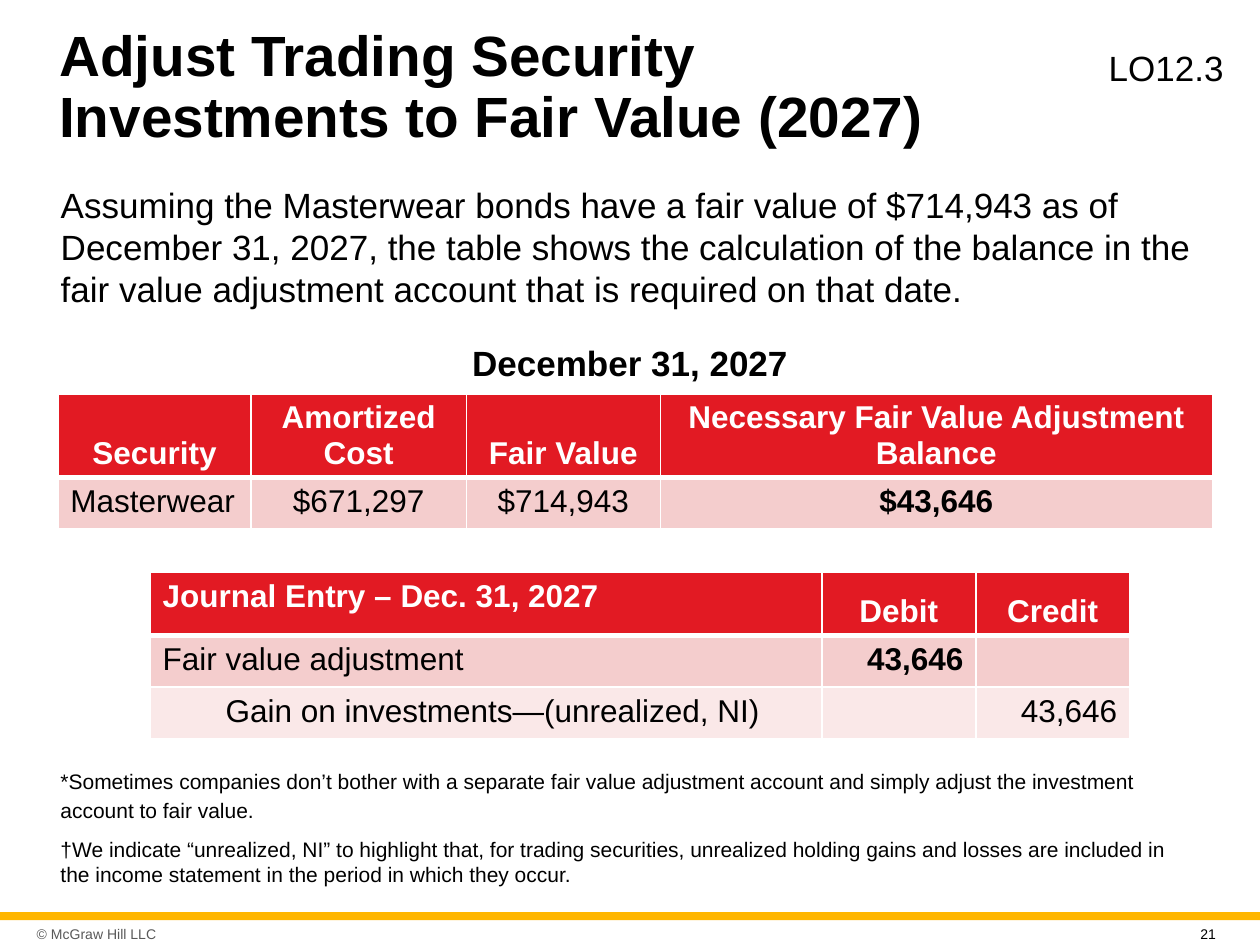
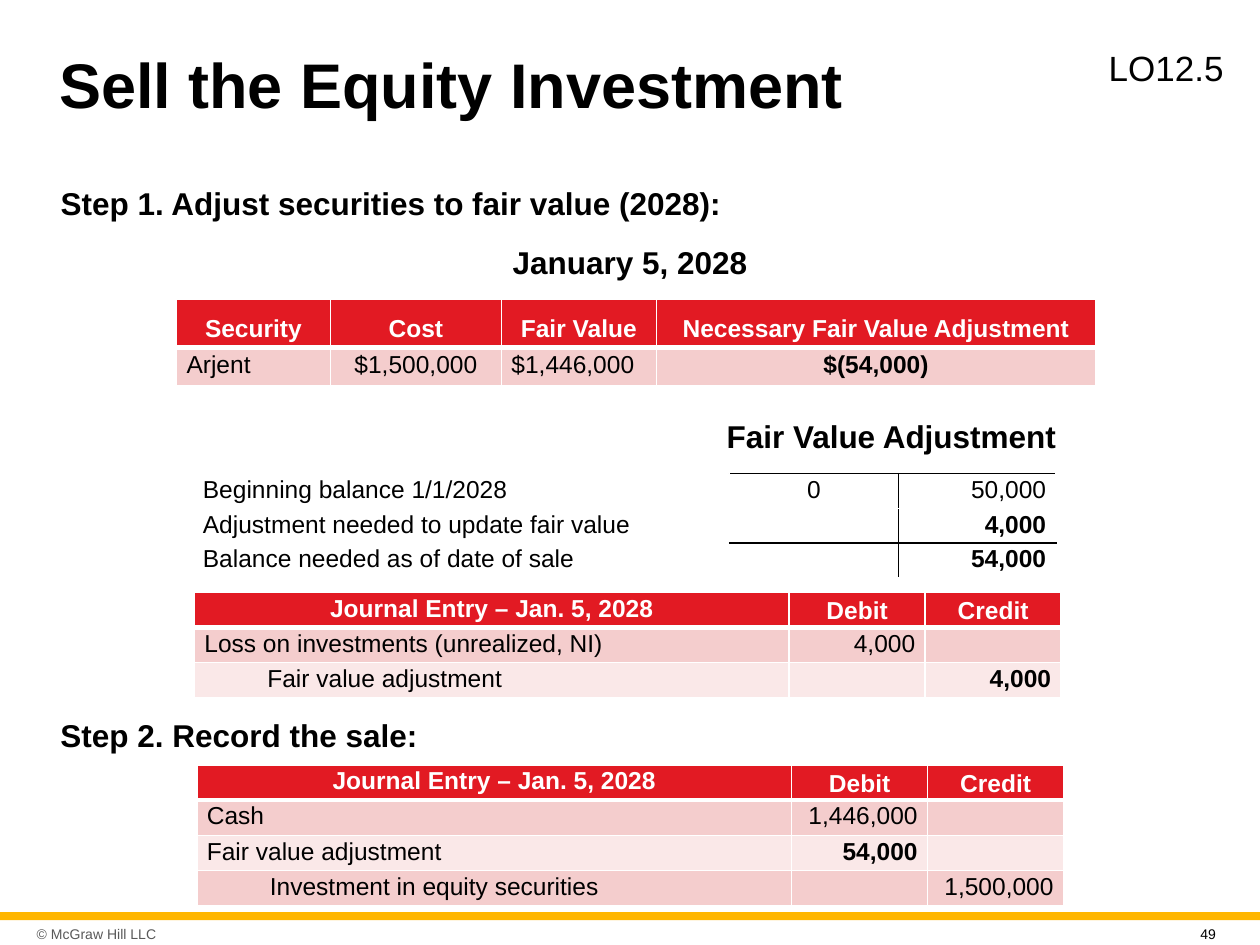
from dataclasses import dataclass

import lxml.etree
import pptx
import pptx.dml.color
import pptx.enum.shapes
import pptx.enum.text
import pptx.oxml.ns
import pptx.util

Cm = pptx.util.Cm
Pt = pptx.util.Pt
ALIGN = pptx.enum.text.PP_ALIGN
ANCHOR = pptx.enum.text.MSO_ANCHOR
qn = pptx.oxml.ns.qn


@dataclass(frozen=True)
class Theme:
    font: str = "Arial"
    black: str = "000000"
    white: str = "FFFFFF"
    grey: str = "595959"
    gold: str = "FFB600"
    header: str = "E21A23"
    bands: tuple = ("FAE8E8", "F4CDCD")
    title_size: float = 36
    long_title_size: float = 32.4
    text_size: float = 20
    step_size: float = 18
    note_size: float = 12
    footer_size: float = 8
    thin_line: float = 1
    thick_line: float = 3


THEME = Theme()


@dataclass(frozen=True)
class Box:
    left: float
    top: float
    width: float
    height: float

    def place(self, shape):
        shape.left, shape.top = Cm(self.left), Cm(self.top)
        shape.width, shape.height = Cm(self.width), Cm(self.height)


@dataclass(frozen=True)
class Entry:
    text: str = ""
    align: int = ALIGN.LEFT
    bold: bool = False
    indent: float = 0
    anchor: int = ANCHOR.TOP


@dataclass(frozen=True)
class TableSize:
    font: float
    side_margin: float
    end_margin: float


LARGE = TableSize(18, 0.25, 0.13)
SMALL = TableSize(14, 0.2, 0.05)
MEDIUM = TableSize(14, 0.2, 0.09)


def centred(text, bold=False):
    return Entry(text, ALIGN.CENTER, bold)


def amount(text, bold=False):
    return Entry(text, ALIGN.RIGHT, bold)


def credited(text):
    return Entry(text, indent=1.27)


def heading(text, align=ALIGN.CENTER, anchor=ANCHOR.BOTTOM):
    return Entry(text, align, True, anchor=anchor)


def style_font(paragraph, size, bold=False, color=THEME.black):
    font = paragraph.font
    font.name = THEME.font
    font.size = Pt(size)
    font.bold = bold
    font.color.rgb = pptx.dml.color.RGBColor.from_string(color)


def write(shape, box, texts, size, bold=False, color=THEME.black,
          align=ALIGN.LEFT, anchor=ANCHOR.TOP):
    box.place(shape)
    frame = shape.text_frame
    frame.word_wrap = True
    frame.auto_size = pptx.enum.text.MSO_AUTO_SIZE.NONE
    frame.vertical_anchor = anchor
    frame.text = "\n".join(texts)
    for paragraph in frame.paragraphs:
        properties = paragraph._p.get_or_add_pPr()
        properties.set("marL", "0")
        properties.set("indent", "0")
        lxml.etree.SubElement(properties, qn("a:buNone"))
        paragraph.alignment = align
        paragraph.space_before = Pt(0)
        style_font(paragraph, size, bold, color)
    return frame


def add_label(slide, box, text, size, **options):
    shape = slide.shapes.add_textbox(0, 0, 0, 0)
    return write(shape, box, [text], size, **options)


def add_footer(slide, box, page):
    band = slide.shapes.add_shape(
        pptx.enum.shapes.MSO_SHAPE.RECTANGLE, 0, 0, 0, 0)
    Box(box.left, box.top, box.width, 0.16).place(band)
    band.shadow.inherit = False
    band.fill.solid()
    band.fill.fore_color.rgb = pptx.dml.color.RGBColor.from_string(THEME.gold)
    band.line.fill.background()
    copyright_box = Box(box.left + 0.61, box.top + 0.13, 3.43, 0.61)
    frame = add_label(slide, copyright_box, "© McGraw Hill LLC",
                      THEME.footer_size, color=THEME.grey, anchor=ANCHOR.MIDDLE)
    frame.margin_left = frame.margin_right = Cm(0.13)
    page_box = Box(box.left + 23.95, box.top + 0.15, 1, 0.46)
    add_label(slide, page_box, page, THEME.footer_size)


def add_header(slide, box, title, title_size, objective):
    title_box = Box(box.left, box.top, 20.07, box.height)
    frame = write(slide.shapes.title, title_box, [title], title_size,
                  bold=True, anchor=ANCHOR.MIDDLE)
    frame.paragraphs[0].line_spacing = 0.9
    objective_box = Box(box.left + 21.16, box.top + 0.28, 2.9, 1.04)
    add_label(slide, objective_box, objective, THEME.text_size)


def start_slide(presentation, title, title_size, objective, page):
    slide = presentation.slides.add_slide(presentation.slide_layouts[1])
    add_footer(slide, Box(0, 18.39, 25.4, 0.66), page)
    add_header(slide, Box(0.94, 0.53, 24.06, 2.51), title, title_size, objective)
    return slide


def add_border(cell, side, color, width):
    line = lxml.etree.SubElement(cell._tc.get_or_add_tcPr(), qn(f"a:ln{side}"))
    line.set("w", str(Pt(width)))
    fill = lxml.etree.SubElement(line, qn("a:solidFill"))
    lxml.etree.SubElement(fill, qn("a:srgbClr")).set("val", color)


def fill_cell(cell, entry, size, fill, color):
    cell.fill.solid()
    cell.fill.fore_color.rgb = pptx.dml.color.RGBColor.from_string(fill)
    cell.margin_left = cell.margin_right = Cm(size.side_margin)
    cell.margin_top = cell.margin_bottom = Cm(size.end_margin)
    cell.vertical_anchor = entry.anchor
    cell.text = entry.text
    paragraph = cell.text_frame.paragraphs[0]
    paragraph.alignment = entry.align
    if entry.indent:
        paragraph._p.get_or_add_pPr().set("marL", str(Cm(entry.indent)))
    style_font(paragraph, size.font, entry.bold, color)
    if not entry.text:
        end = lxml.etree.SubElement(paragraph._p, qn("a:endParaRPr"))
        end.set("sz", str(int(size.font * 100)))


def add_grid(slide, left, top, widths, heights):
    frame = slide.shapes.add_table(
        len(heights), len(widths), Cm(left), Cm(top),
        Cm(sum(widths)), Cm(sum(heights)))
    table = frame.table
    table.first_row = table.horz_banding = False
    for column, width in zip(table.columns, widths):
        column.width = Cm(width)
    for row, height in zip(table.rows, heights):
        row.height = Cm(height)
    return table


def add_banded_table(slide, left, top, widths, heights, rows, size):
    table = add_grid(slide, left, top, widths, heights)
    for row_index, row in enumerate(rows):
        is_header = row_index == 0
        fill = THEME.header if is_header else THEME.bands[row_index % 2]
        color = THEME.white if is_header else THEME.black
        for column_index, entry in enumerate(row):
            cell = table.cell(row_index, column_index)
            for side in "LRTB":
                thick = (is_header and side == "B") or (row_index == 1 and side == "T")
                add_border(cell, side, THEME.white,
                           THEME.thick_line if thick else THEME.thin_line)
            fill_cell(cell, entry, size, fill, color)


def add_journal(slide, left, top, widths, heights, title, entries, size,
                title_align=ALIGN.CENTER):
    header = [heading(title, title_align, ANCHOR.TOP),
              heading("Debit"), heading("Credit")]
    add_banded_table(slide, left, top, widths, heights, [header] + entries, size)


def add_account(slide, left, top, widths, row_height, rows):
    table = add_grid(slide, left, top, widths, [row_height] * len(rows))
    account_sides = {
        (0, 1): "RT", (0, 2): "LT",
        (1, 1): "RB", (1, 2): "LB",
        (2, 1): "RT", (2, 2): "LT",
    }
    for row_index, row in enumerate(rows):
        for column_index, entry in enumerate(row):
            cell = table.cell(row_index, column_index)
            for side in account_sides.get((row_index, column_index), ""):
                add_border(cell, side, THEME.black, THEME.thin_line)
            fill_cell(cell, entry, SMALL, THEME.white, THEME.black)


def build_adjustment_slide(presentation):
    slide = start_slide(
        presentation, "Adjust Trading Security Investments to Fair Value (2027)",
        THEME.long_title_size, "LO12.3", "21")
    write(slide.placeholders[1], Box(0.97, 3.58, 23.5, 2.84), [
        "Assuming the Masterwear bonds have a fair value of $714,943 as of "
        "December 31, 2027, the table shows the calculation of the balance in "
        "the fair value adjustment account that is required on that date."],
        THEME.text_size)
    add_label(slide, Box(8.95, 6.76, 7.5, 1.17), "December 31, 2027",
              THEME.text_size, bold=True, align=ALIGN.CENTER)
    add_banded_table(slide, 1.17, 7.94, [3.89, 4.34, 3.91, 11.13], [1.65, 1.04], [
        [heading("Security"), heading("Amortized Cost"), heading("Fair Value"),
         heading("Necessary Fair Value Adjustment Balance")],
        [Entry("Masterwear"), centred("$671,297"), centred("$714,943"),
         centred("$43,646", True)],
    ], LARGE)
    add_journal(slide, 3.03, 11.54, [13.54, 3.1, 3.1], [1.27, 1.04, 1.04],
                "Journal Entry – Dec. 31, 2027", [
        [Entry("Fair value adjustment"), amount("43,646", True), Entry()],
        [credited("Gain on investments—(unrealized, NI)"), Entry(), amount("43,646")],
    ], LARGE, ALIGN.LEFT)
    notes = slide.shapes.add_textbox(0, 0, 0, 0)
    frame = write(notes, Box(0.97, 15.29, 23.5, 2.82), [
        "*Sometimes companies don’t bother with a separate fair value adjustment "
        "account and simply adjust the investment account to fair value.",
        "†We indicate “unrealized, NI” to highlight that, for trading securities, "
        "unrealized holding gains and losses are included in the income statement "
        "in the period in which they occur."], THEME.note_size)
    frame.paragraphs[0].line_spacing = 1.15
    frame.paragraphs[0].space_after = Pt(8)


def build_sale_slide(presentation):
    slide = start_slide(presentation, "Sell the Equity Investment",
                        THEME.title_size, "LO12.5", "49")
    write(slide.placeholders[1], Box(0.97, 3.58, 23.5, 1.02),
          ["Step 1. Adjust securities to fair value (2028):"],
          THEME.step_size, bold=True)
    add_label(slide, Box(9.6, 4.78, 6.2, 1.02), "January 5, 2028",
              THEME.step_size, bold=True, align=ALIGN.CENTER)
    add_banded_table(slide, 3.56, 6.04, [3.1, 3.45, 3.12, 8.86], [0.96, 0.77], [
        [heading("Security"), heading("Cost"), heading("Fair Value"),
         heading("Necessary Fair Value Adjustment")],
        [Entry("Arjent"), centred("$1,500,000"), Entry("$1,446,000"),
         centred("$(54,000)", True)],
    ], MEDIUM)
    add_label(slide, Box(14.12, 8.28, 7.7, 0.94), "Fair Value Adjustment",
              THEME.step_size, bold=True, align=ALIGN.CENTER)
    add_account(slide, 3.89, 9.55, [10.82, 3.4, 3.18], 0.7, [
        [Entry("Beginning balance 1/1/2028"), centred("0"), amount("50,000")],
        [Entry("Adjustment needed to update fair value"), Entry(),
         amount("4,000", True)],
        [Entry("Balance needed as of date of sale"), Entry(),
         amount("54,000", True)],
    ])
    journal_widths = [11.99, 2.74, 2.74]
    journal_title = "Journal Entry – Jan. 5, 2028"
    add_journal(slide, 3.92, 11.94, journal_widths, [0.71] * 3, journal_title, [
        [Entry("Loss on investments (unrealized, NI)"), amount("4,000"), Entry()],
        [credited("Fair value adjustment"), Entry(), amount("4,000", True)],
    ], SMALL)
    add_label(slide, Box(0.97, 14.3, 22.22, 0.91), "Step 2. Record the sale:",
              THEME.step_size, bold=True)
    add_journal(slide, 3.97, 15.42, journal_widths, [0.71] * 4, journal_title, [
        [Entry("Cash"), amount("1,446,000"), Entry()],
        [Entry("Fair value adjustment"), amount("54,000", True), Entry()],
        [credited("Investment in equity securities"), Entry(), amount("1,500,000")],
    ], SMALL)


def main():
    presentation = pptx.Presentation()
    presentation.slide_width = Cm(25.4)
    presentation.slide_height = Cm(19.05)
    build_adjustment_slide(presentation)
    build_sale_slide(presentation)
    presentation.save("out.pptx")


if __name__ == "__main__":
    main()
